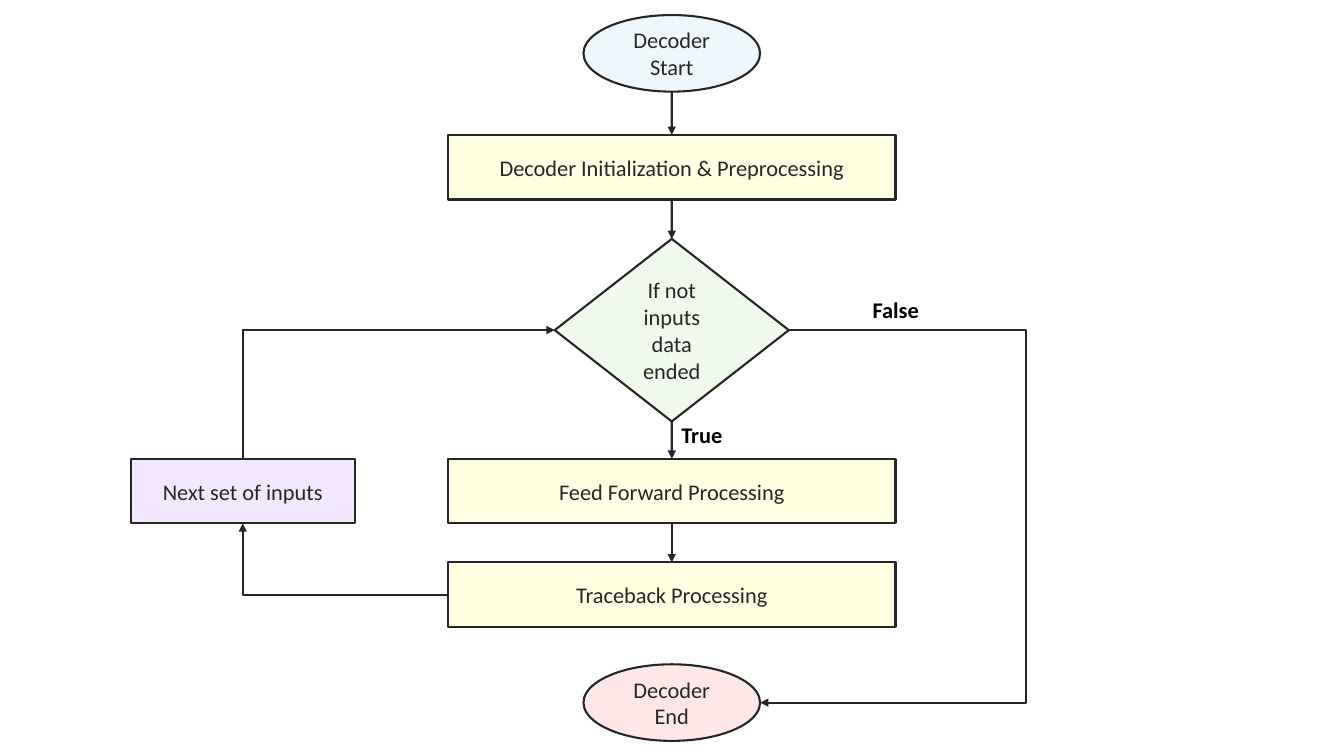
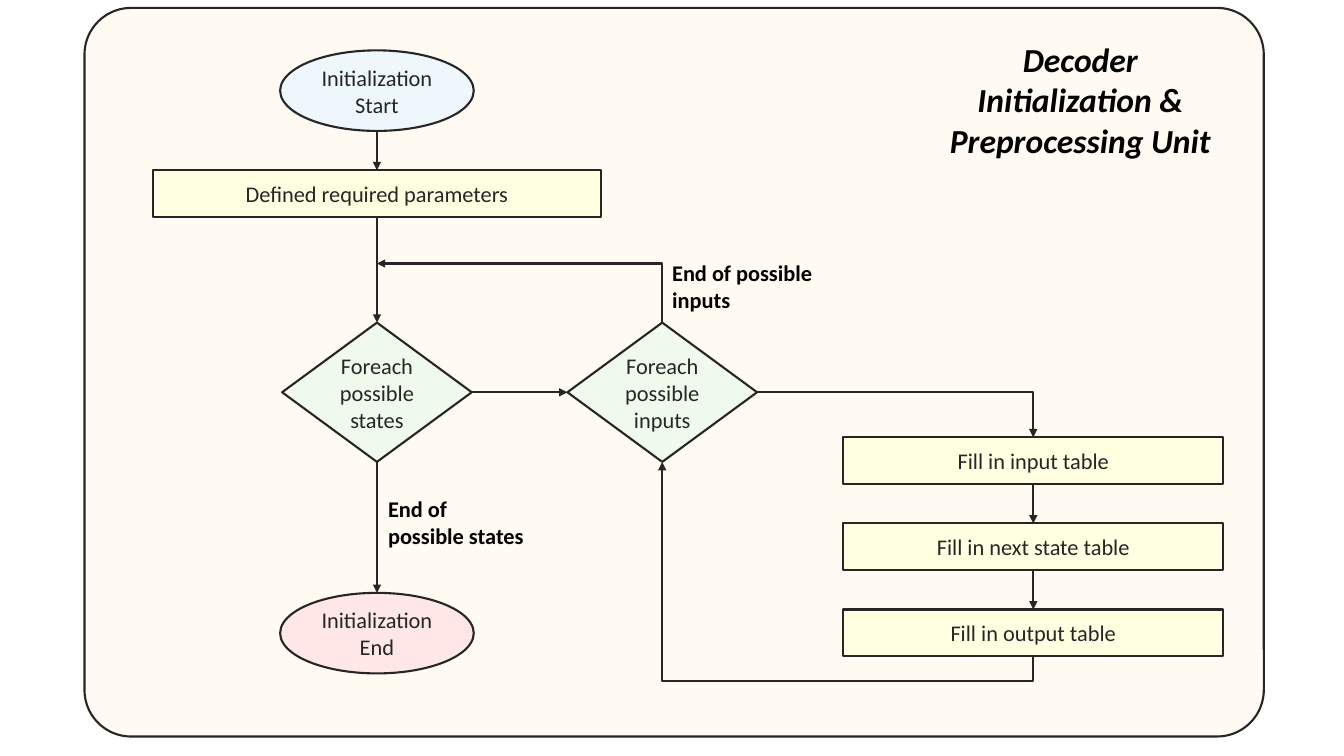
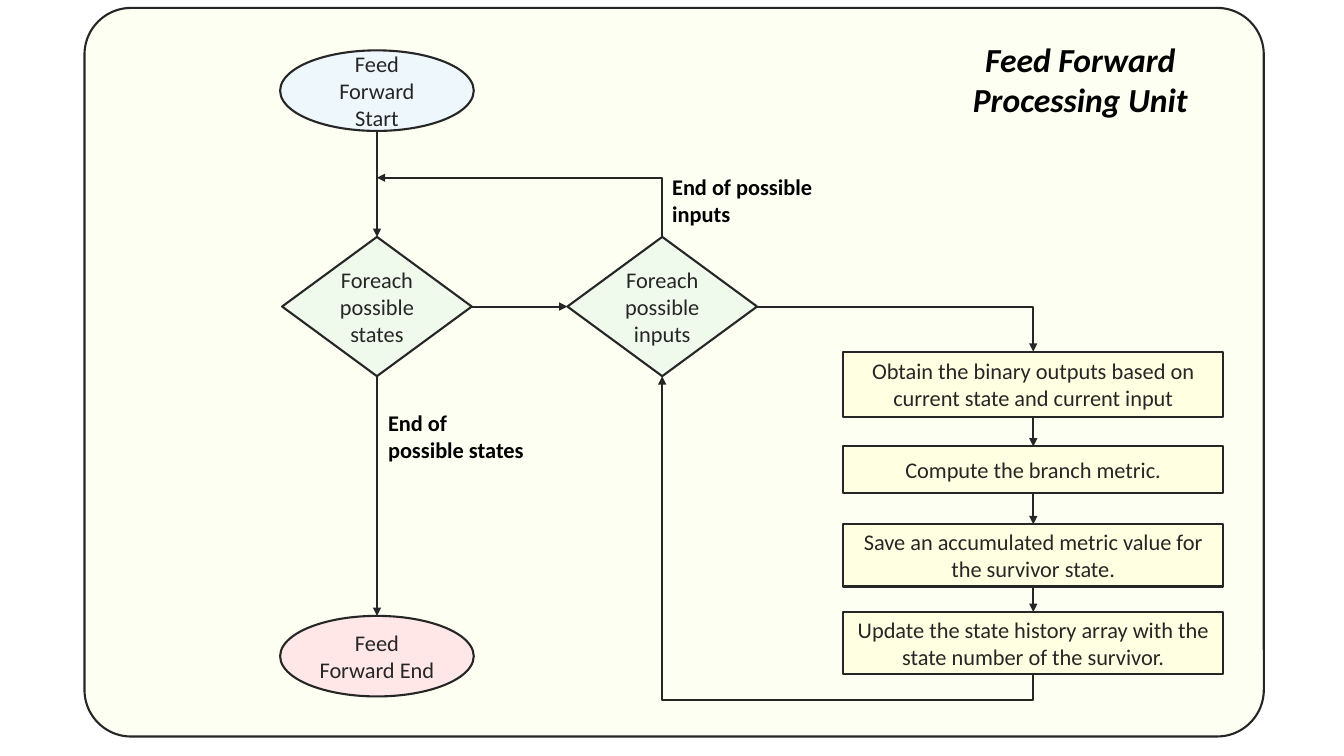
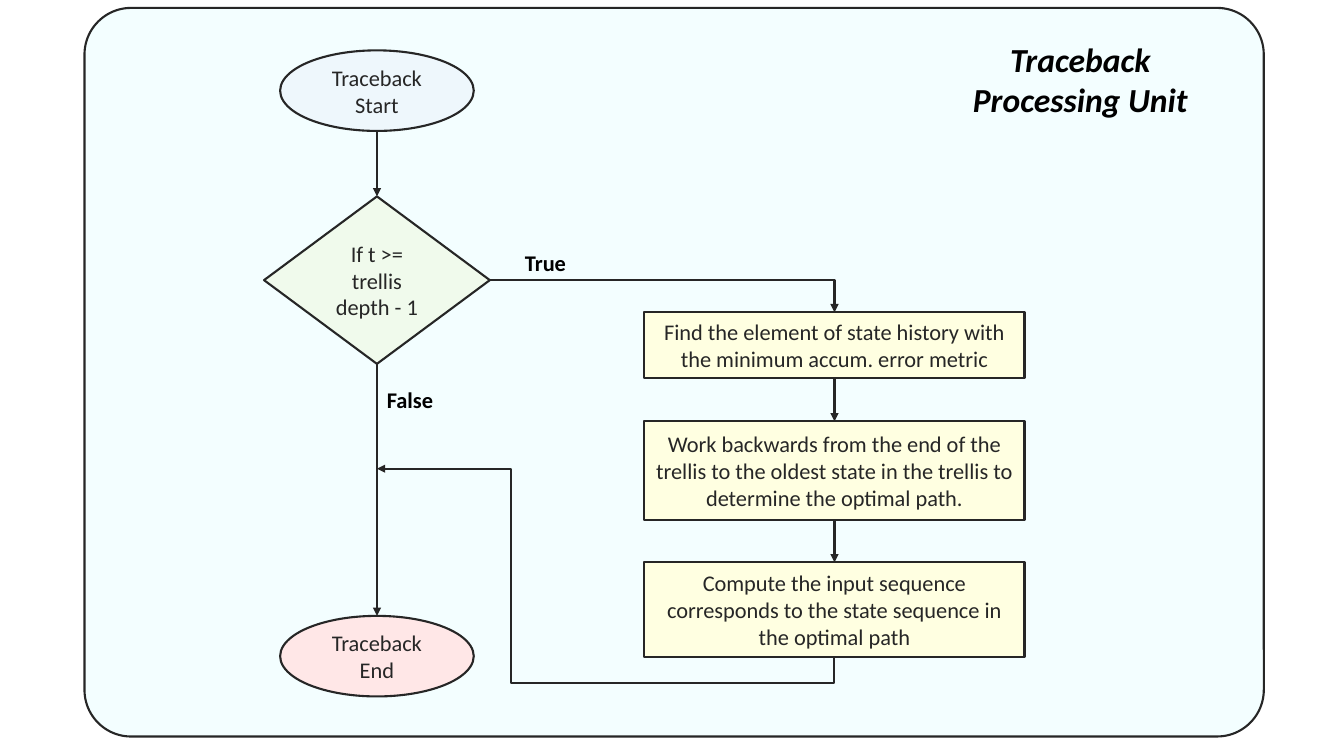
from lxml import etree
from pptx import Presentation
from pptx import util as u
from pptx.dml.color import RGBColor
from pptx.enum import shapes, text
from pptx.oxml.ns import qn

Cm = u.Cm
Kind = shapes.MSO_SHAPE
TOP, LEFT, BOTTOM, RIGHT = range(4)
COLORS = {
    "ink": "262626", "black": "000000",
    "start": "EEF7FC", "end": "FFE7E7", "step": "FFFFE1",
    "test": "F0FAEC", "next": "F3E7FF",
    "init": "FFFBF3", "feed": "FDFFF3", "trace": "F3FEFF",
}
MAIN = 9.5  # centre of the main column on the unit slides


def rgb(name):
    return RGBColor.from_string(COLORS[name])


def mid(box, side):
    """Middle of one side of a shape."""
    x, y = box.left + box.width // 2, box.top + box.height // 2
    return ((x, box.top), (box.left, y),
            (x, box.top + box.height), (box.left + box.width, y))[side]


class Deck:
    """Style of the flow charts and the slide being drawn."""
    font = "Calibri"
    size = 16
    width = u.Pt(1.5)

    def __init__(self):
        self.prs = Presentation()
        self.prs.slide_width, self.prs.slide_height = Cm(33.87), Cm(19.05)

    def new(self):
        self.slide = self.prs.slides.add_slide(self.prs.slide_layouts[6])

    def fill_in(self, frame, words, color, size=size, bold=False, ital=False,
                align=text.PP_ALIGN.CENTER):
        frame.text = words
        for para in frame.paragraphs:
            para.alignment = align
            for run in para.runs:
                font = run.font
                font.name, font.size = self.font, u.Pt(size)
                font.bold, font.italic = bold, ital
                font.color.rgb = rgb(color)

    def shape(self, kind, fill, x, y, w, h):
        box = self.slide.shapes.add_shape(kind, Cm(x), Cm(y), Cm(w), Cm(h))
        box.shadow.inherit = False
        box.fill.solid()
        box.fill.fore_color.rgb = rgb(fill)
        box.line.color.rgb = rgb("ink")
        box.line.width = self.width
        return box

    def node(self, kind, fill, words, x, y, w, h):
        """Shape with text, centred on x, its top at y."""
        box = self.shape(kind, fill, x - w / 2, y, w, h)
        self.fill_in(box.text_frame, words, "ink")
        return box

    def step(self, words, x, y, w, h, fill="step"):
        return self.node(Kind.RECTANGLE, fill, words, x, y, w, h)

    def test(self, words, x, y, w=4.78, h=3.51):
        return self.node(Kind.DIAMOND, "test", words, x, y, w, h)

    def oval(self, fill, words, x, y, w=4.88, h=2.03):
        return self.node(Kind.OVAL, fill, words, x, y, w, h)

    def label(self, words, x, y, w, h=0.94, wrap=False, **style):
        box = self.slide.shapes.add_textbox(Cm(x), Cm(y), Cm(w), Cm(h))
        frame = box.text_frame
        frame.word_wrap = wrap
        frame.auto_size = text.MSO_AUTO_SIZE.SHAPE_TO_FIT_TEXT
        style = {"align": text.PP_ALIGN.LEFT, **style}
        self.fill_in(frame, words, "black", bold=True, **style)

    def unit(self, title, fill, high):
        """New slide with the rounded panel and its title."""
        self.new()
        panel = self.shape(Kind.ROUNDED_RECTANGLE, fill, 2.13, 0.2, 29.72, 18.36)
        panel.adjustments[0] = 0.064
        self.label(title, 23.29, 0.86, 7.87, high, wrap=True, size=24,
                   ital=True, align=text.PP_ALIGN.CENTER)

    def wire(self, kind, start, end):
        line = self.slide.shapes.add_connector(kind, *start, *end)
        line.line.color.rgb = rgb("ink")
        line.line.width = self.width
        props = line.element.spPr
        etree.SubElement(props.find(qn("a:ln")), qn("a:tailEnd"), type="triangle")
        etree.SubElement(props, qn("a:effectLst"))
        return line

    def arrow(self, a, b, out=BOTTOM, into=TOP):
        """Straight arrow from a side of a to a side of b."""
        line = self.wire(shapes.MSO_CONNECTOR.STRAIGHT, mid(a, out), mid(b, into))
        if a.auto_shape_type != Kind.OVAL:
            line.begin_connect(a, out)
        if b.auto_shape_type != Kind.OVAL:
            line.end_connect(b, into)

    def chain(self, *boxes):
        for a, b in zip(boxes, boxes[1:]):
            self.arrow(a, b)

    def bend(self, *pts):
        """Elbow arrow through the given corners."""
        start, end = pts[0], pts[-1]
        ends = [start, end]
        upright = start[0] == pts[1][0]
        if upright:  # drawn lying down, then turned by a quarter
            cx, cy = ((p + q) // 2 for p, q in zip(start, end))
            ends = [(cx + y - cy, cy - x + cx) for x, y in ends]
        line = self.wire(shapes.MSO_CONNECTOR.ELBOW, *ends)
        props = line.element.spPr
        if upright:
            props.find(qn("a:xfrm")).set("rot", "5400000")
        geom = props.find(qn("a:prstGeom"))
        geom.set("prst", f"bentConnector{len(pts) - 1}")
        guides = geom.find(qn("a:avLst"))
        for i, via in enumerate(pts[1:-2], 1):
            axis = (i + upright + 1) % 2
            part = (via[axis] - start[axis]) / (end[axis] - start[axis])
            etree.SubElement(guides, qn("a:gd"), name=f"adj{i}",
                             fmla=f"val {round(part * 100000)}")

    def corner(self, a, out, b, into):
        """Elbow arrow with one corner."""
        p, q = mid(a, out), mid(b, into)
        turn = (p[0], q[1]) if out in (TOP, BOTTOM) else (q[0], p[1])
        self.bend(p, turn, q)

    def stack(self, x, rows):
        """Chain of steps; rows hold words, top and height."""
        steps = [self.step(words, x, y, 9.58, h) for words, y, h in rows]
        self.chain(*steps)
        return steps

    def loops(self, y, rows):
        """Loop over states around a loop over inputs; gives the outer test."""
        outer = self.test("Foreach possible states", MAIN, y)
        inner = self.test("Foreach possible inputs", 16.69, y)
        self.arrow(outer, inner, RIGHT, LEFT)
        steps = self.stack(26.04, rows)
        self.corner(inner, RIGHT, steps[0], TOP)
        last, foot = mid(steps[-1], BOTTOM), mid(inner, BOTTOM)
        low = last[1] + Cm(0.64)
        self.bend(last, (last[0], low), (foot[0], low), foot)
        head, back = mid(inner, TOP), Cm(y - 1.49)
        self.bend(head, (head[0], back), (mid(outer, TOP)[0], back))
        self.label("End of possible states", 9.53, y + 4.22, 3.99, 1.63, wrap=True)
        self.label("End of possible inputs", 16.69, y - 1.73, 4.24, 1.63, wrap=True)
        return outer


def decoder(deck):
    deck.new()
    x, w, h = 16.93, 11.28, 1.63
    start = deck.oval("start", "Decoder Start", x, 0.38, 4.45, 1.93)
    init = deck.step("Decoder Initialization & Preprocessing", x, 3.4, w, h)
    test = deck.test("If not inputs data ended", x, 6.02, 5.9, 4.6)
    feed = deck.step("Feed Forward Processing", x, 11.56, w, h)
    trace = deck.step("Traceback Processing", x, 14.17, w, h)
    end = deck.oval("end", "Decoder\nEnd", x, 16.74, 4.45, 1.93)
    more = deck.step("Next set of inputs", 6.12, 11.56, w / 2, h, "next")
    deck.chain(start, init, test, feed, trace)
    deck.corner(trace, LEFT, more, BOTTOM)
    deck.corner(more, TOP, test, LEFT)
    p, q, far = mid(test, RIGHT), mid(end, RIGHT), Cm(25.86)
    deck.bend(p, (far, p[1]), (far, q[1]), q)
    deck.label("False", 21.74, 7.34, 1.7)
    deck.label("True", 16.92, 10.49, 1.55)


def initial(deck):
    deck.unit("Decoder Initialization & Preprocessing Unit", "init", 3.33)
    start = deck.oval("start", "Initialization Start", MAIN, 1.27)
    params = deck.step("Defined required parameters", MAIN, 4.29, 11.28, 1.17)
    names = ("input", "next state", "output")
    outer = deck.loops(8.13, [(f"Fill in {name} table", 11.02 + 2.17 * i, 1.17)
                              for i, name in enumerate(names)])
    end = deck.oval("end", "Initialization End", MAIN, 14.94)
    deck.chain(start, params, outer, end)


def forward(deck):
    deck.unit("Feed Forward Processing Unit", "feed", 2.31)
    start = deck.oval("start", "Feed Forward Start", MAIN, 1.27)
    outer = deck.loops(5.97, [
        ("Obtain the binary outputs based on current state and current input", 8.86, 1.65),
        ("Compute the branch metric.", 11.25, 1.17),
        ("Save an accumulated metric value for the survivor state.", 13.21, 1.57),
        ("Update the state history array with the state number of the survivor.", 15.42, 1.57),
    ])
    end = deck.oval("end", "Feed Forward End", MAIN, 15.52)
    deck.chain(start, outer, end)


def traceback(deck):
    deck.unit("Traceback Processing Unit", "trace", 2.31)
    start = deck.oval("start", "Traceback Start", MAIN, 1.27)
    test = deck.test("If t >= trellis depth - 1", MAIN, 4.95, 5.69, 4.22)
    end = deck.oval("end", "Traceback End", MAIN, 15.52)
    deck.chain(start, test, end)
    steps = deck.stack(21.03, [
        ("Find the element of state history with the minimum accum. error metric", 7.87, 1.65),
        ("Work backwards from the end of the trellis to the oldest state in the "
         "trellis to determine the optimal path.", 10.62, 2.49),
        ("Compute the input sequence corresponds to the state sequence in the "
         "optimal path", 14.17, 2.39),
    ])
    deck.corner(test, RIGHT, steps[0], TOP)
    last, x, y = mid(steps[-1], BOTTOM), Cm(12.88), Cm(11.81)
    low = last[1] + Cm(0.64)
    deck.bend(last, (last[0], low), (x, low), (x, y), (Cm(MAIN), y))
    deck.label("False", 9.5, 9.6, 1.7)
    deck.label("True", 12.98, 6.15, 1.55)


def main():
    deck = Deck()
    for draw in (decoder, initial, forward, traceback):
        draw(deck)
    deck.prs.save("out.pptx")


if __name__ == "__main__":
    main()
